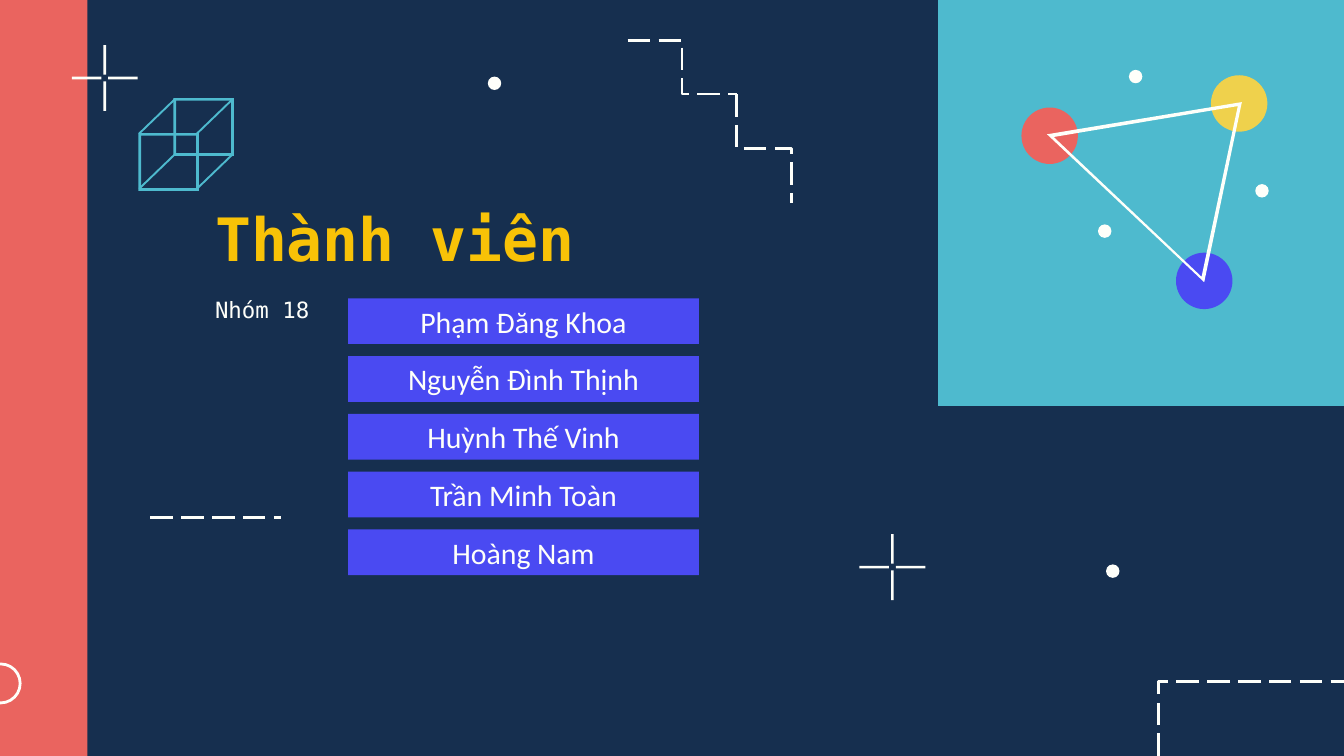
from lxml import etree
from pptx import Presentation
from pptx.dml.color import RGBColor
from pptx.enum import dml, shapes, text
from pptx.oxml import ns
from pptx.util import Inches, Pt

NAVY = RGBColor(0x16, 0x2F, 0x4F)
CORAL = RGBColor(0xEA, 0x64, 0x5F)
TEAL = RGBColor(0x4E, 0xBA, 0xCE)
CREAM = RGBColor(0xFE, 0xFF, 0xFA)
GOLD = RGBColor(0xF8, 0xC2, 0x07)
YELLOW = RGBColor(0xEF, 0xD1, 0x4C)
INDIGO = RGBColor(0x4A, 0x4A, 0xF2)
MONO = "DejaVu Sans Mono"
SANS = "Calibri"
WIDTH = 10
HEIGHT = WIDTH * 9 / 16
RECT = shapes.MSO_SHAPE.RECTANGLE
OVAL = shapes.MSO_SHAPE.OVAL
STRAIGHT = shapes.MSO_CONNECTOR.STRAIGHT
ELBOW = shapes.MSO_CONNECTOR.ELBOW

MEMBERS = [
    "Phạm Đăng Khoa",
    "Nguyễn Đình Thịnh",
    "Huỳnh Thế Vinh",
    "Trần Minh Toàn",
    "Hoàng Nam",
]


def paint(sp, color):
    sp.shadow.inherit = False
    sp.fill.solid()
    sp.fill.fore_color.rgb = color
    sp.line.fill.background()
    return sp


def add_block(s, kind, x, y, w, h, color):
    sp = s.shapes.add_shape(kind, Inches(x), Inches(y), Inches(w), Inches(h))
    return paint(sp, color)


def add_dot(s, x, y):
    add_block(s, OVAL, x, y, 0.1, 0.1, CREAM)


def add_ring(s, x, y, size):
    sp = add_block(s, OVAL, x, y, size, size, CREAM)
    sp.fill.background()
    sp.line.color.rgb = CREAM
    sp.line.width = Pt(1.5)


def add_outline(s, contours, color):
    contours = [[(Inches(x), Inches(y)) for x, y in c] for c in contours]
    builder = s.shapes.build_freeform(*contours[0][0], scale=1.0)
    builder.add_line_segments(contours[0][1:], close=True)
    for contour in contours[1:]:
        builder.move_to(*contour[0])
        builder.add_line_segments(contour[1:], close=True)
    paint(builder.convert_to_shape(), color)


def add_dashes(s, kind, x1, y1, x2, y2, rotation=0, bend=None):
    line = s.shapes.add_connector(kind, Inches(x1), Inches(y1), Inches(x2), Inches(y2))
    line.line.color.rgb = CREAM
    line.line.width = Pt(1.5)
    line.line.dash_style = dml.MSO_LINE.LONG_DASH
    props = line._element.spPr
    etree.SubElement(props, ns.qn("a:effectLst"))
    if rotation:
        props.find(ns.qn("a:xfrm")).set("rot", str(rotation * 60000))
    if bend is not None:
        geometry = props.find(ns.qn("a:prstGeom"))
        guides = geometry.find(ns.qn("a:avLst"))
        if guides is None:
            guides = etree.SubElement(geometry, ns.qn("a:avLst"))
        etree.SubElement(guides, ns.qn("a:gd"), name="adj1", fmla=f"val {bend}")


def add_cross(s, cx, cy, gap=0.05, arm=0.22, width=0.02):
    for start in (-gap / 2 - arm, gap / 2):
        add_block(s, RECT, cx - width / 2, cy + start, width, arm, CREAM)
        add_block(s, RECT, cx + start, cy - width / 2, arm, width, CREAM)


def add_cube(s, x, y, w=0.45, h=0.43, depth=0.26, edge=0.02):
    def corners(left, top, right, bottom):
        return [(left, top), (left, bottom), (right, bottom), (right, top)]

    for left, top in ((x, y + depth), (x + depth, y)):
        right, bottom = left + w, top + h
        inner = corners(left + edge, top + edge, right - edge, bottom - edge)
        add_outline(s, [inner[::-1], corners(left, top, right, bottom)], TEAL)
    for px in (x, x + w - edge):
        for py in (y + depth, y + depth + h - edge):
            add_outline(s, [[
                (px + depth + 0.01, py - depth), (px, py),
                (px + 0.01, py + 0.01), (px + depth + 0.02, py - depth + 0.01),
            ]], TEAL)


def add_network(s):
    for x, y, color in ((9.01, 0.56, YELLOW), (7.6, 0.8, CORAL), (8.75, 1.88, INDIGO)):
        add_block(s, OVAL, x, y, 0.42, 0.42, color)
    inner = [(9.21, 0.79), (8.94, 2.06), (7.84, 1.02)]
    outer = [(9.24, 0.76), (7.79, 1), (8.96, 2.1)]
    add_outline(s, [inner, outer], CREAM)
    for x, y in ((8.4, 0.52), (8.17, 1.67), (9.34, 1.37)):
        add_dot(s, x, y)


def write_text(sp, words, size, font, color, align, anchor, bold=False):
    tf = sp.text_frame
    tf.word_wrap = True
    tf.auto_size = text.MSO_AUTO_SIZE.NONE
    tf.vertical_anchor = anchor
    tf.margin_left = tf.margin_right = tf.margin_top = tf.margin_bottom = Inches(0.1)
    p = tf.paragraphs[0]
    p.alignment = align
    p.space_before = Pt(0)
    r = p.add_run()
    r.text = words
    r.font.size = Pt(size)
    r.font.name = font
    r.font.bold = bold
    r.font.color.rgb = color
    return p


def place(sp, x, y, w, h):
    sp.left, sp.top, sp.width, sp.height = Inches(x), Inches(y), Inches(w), Inches(h)


def add_headings(s):
    title, subtitle = s.placeholders
    place(title, 1.5, 1.52, 4.78, 0.62)
    p = write_text(title, "Thành viên", 32, MONO, GOLD,
                   text.PP_ALIGN.LEFT, text.MSO_ANCHOR.BOTTOM, bold=True)
    p.line_spacing = 0.9
    place(subtitle, 1.5, 2.1, 2.96, 0.34)
    write_text(subtitle, "Nhóm 18", 12, MONO, CREAM,
               text.PP_ALIGN.LEFT, text.MSO_ANCHOR.TOP)


def add_members(s):
    for i, name in enumerate(MEMBERS):
        sp = add_block(s, RECT, 2.59, 2.22 + 0.43 * i, 2.61, 0.34, INDIGO)
        write_text(sp, name, 16, SANS, CREAM,
                   text.PP_ALIGN.CENTER, text.MSO_ANCHOR.MIDDLE)


def main():
    prs = Presentation()
    prs.slide_width, prs.slide_height = Inches(WIDTH), Inches(HEIGHT)
    s = prs.slides.add_slide(prs.slide_layouts[0])
    s.background.fill.solid()
    s.background.fill.fore_color.rgb = NAVY

    add_block(s, RECT, 0, 0, 0.65, HEIGHT, CORAL)
    add_block(s, RECT, 6.98, 0, 3.02, 3.02, TEAL)
    add_dashes(s, ELBOW, 8.62, HEIGHT, WIDTH, 5.07, bend=0)
    add_ring(s, -0.14, 4.94, 0.29)
    add_headings(s)
    add_cube(s, 1.03, 0.73)
    for cx, cy in ((0.78, 0.58), (6.64, 4.22)):
        add_cross(s, cx, cy)
    for x, y in ((3.63, 0.57), (8.23, 4.2)):
        add_dot(s, x, y)
    add_dashes(s, ELBOW, 4.67, 0.3, 5.48, 0.7)
    add_dashes(s, ELBOW, 6.09, 0.9, 5.28, 1.31, rotation=270)
    add_dashes(s, STRAIGHT, 1.12, 3.85, 2.09, 3.85)
    add_network(s)
    add_members(s)
    prs.save("out.pptx")


if __name__ == "__main__":
    main()
